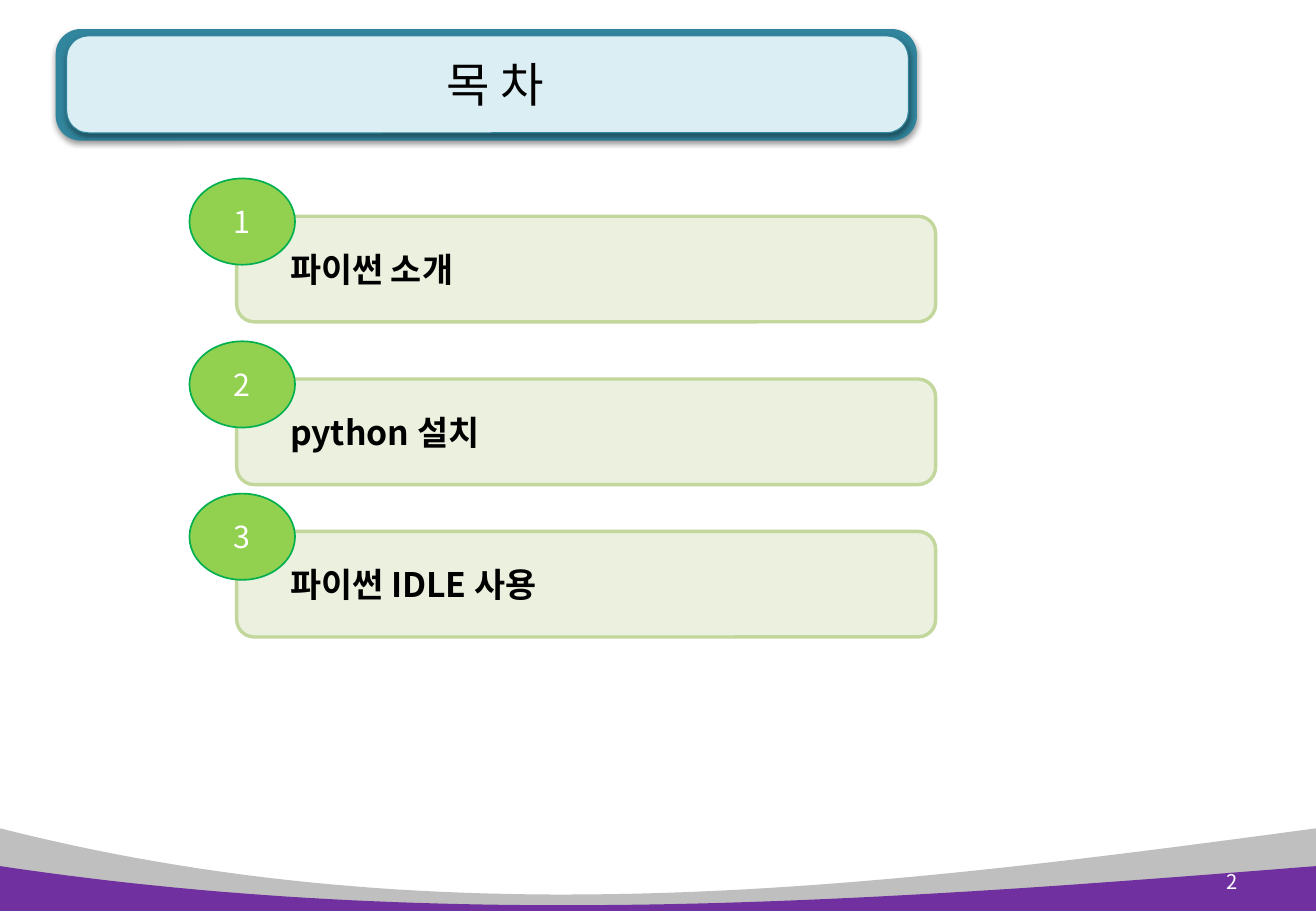
from lxml.etree import SubElement as Sub
from pptx import Presentation
from pptx.dml.color import RGBColor
from pptx.enum.shapes import MSO_SHAPE as Kind
from pptx.enum.text import MSO_ANCHOR as Anchor, PP_ALIGN as Align
from pptx.oxml.ns import qn
from pptx.util import Pt

FACE = "Noto Sans CJK KR"
ITEMS = [(105.8, "파이썬 소개"), (202.3, "python 설치"), (292.6, "파이썬 IDLE 사용")]


def paint(part, tone):
    """Give a fill or a line fill one solid colour."""
    part.solid()
    part.fore_color.rgb = RGBColor.from_string(tone)


def apply(item, looks):
    """Set each named value on an object."""
    for name, value in looks.items():
        setattr(item, name, value)


def place(shape, box):
    """Move a shape to a box given in points."""
    apply(shape, dict(zip(("left", "top", "width", "height"), map(Pt, box))))


def write(shape, text, size, tone, align, bold=False, inset=7.2):
    """Put one line of text in a shape."""
    frame = shape.text_frame
    apply(frame, {"text": text, "word_wrap": True, "vertical_anchor": Anchor.MIDDLE,
                  "margin_left": Pt(inset)})
    line = frame.paragraphs[0]
    line.alignment = align
    run = line.runs[0]
    apply(run.font, {"size": Pt(size), "bold": bold, "name": FACE})
    paint(run.font.fill, tone)
    Sub(run.font._element, qn("a:ea"), typeface=FACE)


def form(slide, kind, box, fill, edge=None, width=1):
    """Add a flat preset shape."""
    shape = slide.shapes.add_shape(kind, *map(Pt, box))
    shape.shadow.inherit = False
    paint(shape.fill, fill)
    if edge:
        paint(shape.line.fill, edge)
        shape.line.width = Pt(width)
    else:
        shape.line.fill.background()
    return shape


def shade(shape):
    """Add a soft shadow that falls straight down."""
    effect = shape._element.spPr.find(qn("a:effectLst"))
    cast = Sub(effect, qn("a:outerShdw"), blurRad=str(Pt(3.1)), dist=str(Pt(1.6)),
               dir="5400000", rotWithShape="0")
    tone = Sub(cast, qn("a:srgbClr"), val="000000")
    Sub(tone, qn("a:alpha"), val="38000")


def wave(slide, box, first, second, tone, steps=60):
    """Fill a box below a cubic curve that dips between its top corners."""
    left, top, width, height = box
    ends = [(0, 0), first, second, (width, 0)]
    dots = []
    for step in range(steps + 1):
        t = step / steps
        parts = ((1 - t) ** 3, 3 * t * (1 - t) ** 2, 3 * t * t * (1 - t), t ** 3)
        x, y = (sum(p * end[axis] for p, end in zip(parts, ends)) for axis in (0, 1))
        dots.append((Pt(left + x), Pt(top + y)))
    base = [(Pt(left + width), Pt(top + height)), (Pt(left), Pt(top + height))]
    build = slide.shapes.build_freeform(*dots[0])
    build.add_line_segments(dots[1:] + base, close=True)
    shape = build.convert_to_shape()
    shape.shadow.inherit = False
    paint(shape.fill, tone)
    shape.line.fill.background()


def banner(slide, box):
    """Draw the framed title."""
    left, top, width, height = box
    panel = (left + 6.5, top + 4, width - 11.5, height - 8.6)
    for area, fill, edge in ((box, "31859C", None), (panel, "DBEEF4", "31859C")):
        shape = form(slide, Kind.ROUNDED_RECTANGLE, area, fill, edge, 0.75)
        shape.adjustments[0] = 0.225
        shade(shape)
    title = slide.shapes.title
    place(title, (left + 16.6, top - 1.4, width - 22.3, height + 1.4))
    write(title, "목 차", 28, "000000", Align.CENTER)
    slide.shapes._spTree.append(title._element)


def entry(slide, box, number, text):
    """Draw one contents bar with its number badge."""
    left, top, width, height = box
    bar = form(slide, Kind.ROUNDED_RECTANGLE,
               (left + 28, top + 22.4, width - 28, height - 22.4), "EBF1DE", "C3D69B", 2)
    write(bar, text, 20, "000000", Align.LEFT, True, 28.6)
    badge = form(slide, Kind.OVAL, (left, top, 62.6, 51.1), "92D050", "00B050")
    write(badge, str(number), 18, "FFFFFF", Align.CENTER)


def footer(slide, box):
    """Draw the two waves and the page number."""
    left, top, width, height = box
    wave(slide, box, (263.5, 67), (518.4, 35.3), "BFBFBF")
    wave(slide, (left, top + 22.4, width, height - 22.4),
         (263.5, 39.6), (518.4, 20.9), "7030A0")
    page = slide.shapes.add_textbox(*map(Pt, (left + 697, top + 17.3, 44, 28.8)))
    write(page, "2", 12, "FFFFFF", Align.RIGHT)


def main():
    """Build the contents slide."""
    deck = Presentation()
    apply(deck, {"slide_width": Pt(780), "slide_height": Pt(540)})
    slide = deck.slides.add_slide(deck.slide_layouts[5])
    footer(slide, (0, 491, 780, 49))
    banner(slide, (33, 17.2, 510.5, 66.2))
    for number, (top, text) in enumerate(ITEMS, 1):
        entry(slide, (112.3, top, 442.3, 85), number, text)
    deck.save("out.pptx")


if __name__ == "__main__":
    main()
